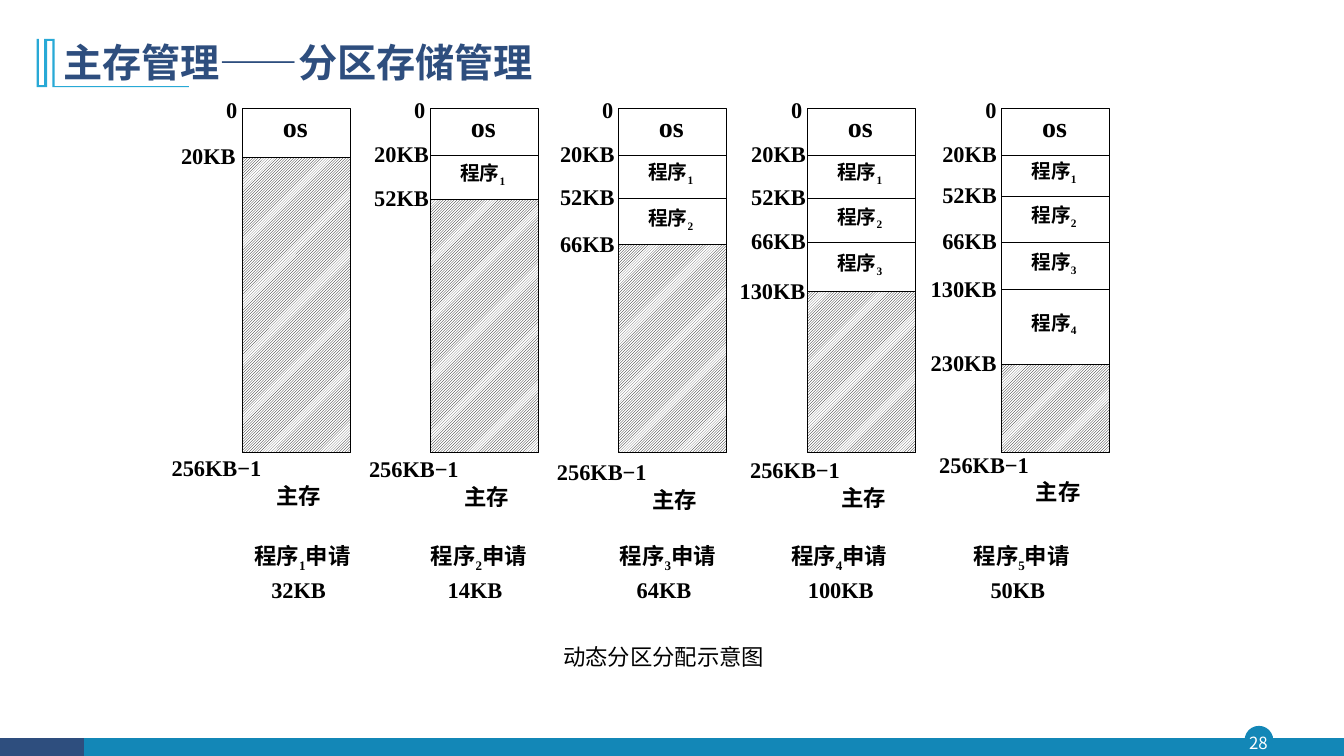
from dataclasses import dataclass

from lxml.etree import SubElement
from pptx import Presentation
from pptx.dml.color import RGBColor
from pptx.enum.dml import MSO_PATTERN
from pptx.enum.shapes import MSO_CONNECTOR, MSO_SHAPE
from pptx.enum.text import MSO_ANCHOR, PP_ALIGN
from pptx.oxml.ns import qn
from pptx.util import Pt

PX = 9525
SANS, SERIF = "Noto Sans CJK SC", "Times New Roman"
BLACK, WHITE, NAVY, BLUE, SKY = "000000", "FFFFFF", "2E4E7E", "1387B7", "28A9D6"
FRAME_TOP, FRAME_WIDTH, FRAME_BOTTOM = 103, 103, 431


def colour(code):
    """Turn a hex string into a colour."""
    return RGBColor.from_string(code)


@dataclass
class Memory:
    """One state of main memory and the request that follows it."""
    left: int
    size_left: int
    end_left: int
    end_top: int
    request_left: int
    request: str
    edges: list


class Page:
    """Style and drawing methods for one slide."""

    def __init__(self, deck):
        """Add a blank slide to the deck."""
        self.shapes = deck.slides.add_slide(deck.slide_layouts[6]).shapes

    def paint(self, shape, fill, line, width):
        """Give a shape its fill and outline; no fill colour means hatching."""
        shape.shadow.inherit = False
        if fill:
            shape.fill.solid()
            shape.fill.fore_color.rgb = colour(fill)
        else:
            shape.fill.patterned()
            shape.fill.pattern = MSO_PATTERN.LIGHT_UPWARD_DIAGONAL
            shape.fill.fore_color.rgb = colour(BLACK)
            shape.fill.back_color.rgb = colour(WHITE)
        if line:
            shape.line.color.rgb = colour(line)
            shape.line.width = Pt(width)
        else:
            shape.line.fill.background()

    def block(self, left, top, width, height, fill, line=None, weight=0.75,
              kind=MSO_SHAPE.RECTANGLE):
        """Draw a preset shape."""
        shape = self.shapes.add_shape(kind, left * PX, top * PX, width * PX, height * PX)
        self.paint(shape, fill, line, weight)

    def outline(self, points, fill):
        """Draw a filled polygon."""
        builder = self.shapes.build_freeform(*points[0], scale=PX)
        builder.add_line_segments(points[1:], close=True)
        self.paint(builder.convert_to_shape(), fill, None, 0)

    def rule(self, left, right, y):
        """Draw a thin horizontal line."""
        line = self.shapes.add_connector(
            MSO_CONNECTOR.STRAIGHT, left * PX, y * PX, right * PX, y * PX)
        line.line.color.rgb = colour(BLACK)
        line.line.width = Pt(0.75)
        SubElement(line._element.spPr, qn("a:effectLst"))

    def box(self, left, top, width, height, anchor=MSO_ANCHOR.TOP, inset=True):
        """Add an empty text box and return its frame."""
        frame = self.shapes.add_textbox(
            left * PX, top * PX, width * PX, height * PX).text_frame
        frame.word_wrap = True
        frame.vertical_anchor = anchor
        if not inset:
            frame.margin_left = frame.margin_right = 0
            frame.margin_top = frame.margin_bottom = 0
        return frame

    def span(self, para, text, size=16, font=SERIF, ink=BLACK, bold=True, base=0):
        """Add one run to a paragraph."""
        span = para.add_run()
        span.text = text
        span.font.size = Pt(size)
        span.font.bold = bold
        span.font.color.rgb = colour(ink)
        span.font.name = font
        properties = span._r.get_or_add_rPr()
        SubElement(properties, qn("a:ea"), typeface=SANS)
        if base:
            properties.set("baseline", str(base * 1000))

    def text(self, left, top, width, height, text, align=PP_ALIGN.JUSTIFY,
             anchor=MSO_ANCHOR.TOP, inset=True, **style):
        """Add a one-run text box and return its paragraph."""
        para = self.box(left, top, width, height, anchor, inset).paragraphs[0]
        para.alignment = align
        self.span(para, text, **style)
        return para

    def label(self, left, top, text):
        """Add an address label sized by its length."""
        self.text(left, top, 14 * len(text) + 22, 31, text)

    def program(self, para, number, size):
        """Add a program name with its subscript number."""
        self.span(para, "程序", size)
        self.span(para, str(number), size, base=-25)

    def memory(self, number, state):
        """Draw one memory column, its labels and its request."""
        left, edges = state.left, state.edges
        right = left + FRAME_WIDTH
        self.block(left, FRAME_TOP, FRAME_WIDTH, FRAME_BOTTOM - FRAME_TOP, WHITE, BLACK)
        self.block(left, edges[-1], FRAME_WIDTH, FRAME_BOTTOM - edges[-1], None, BLACK)
        self.label(left - 25, 87, "0")
        for edge, size in zip(edges, ("20KB", "52KB", "66KB", "130KB", "230KB")):
            self.rule(left, right, edge)
            self.label(state.size_left - 11 * (len(size) - 4), edge - 19, size)
        self.text(left + 29, 100, 60, 39, "os", size=20)
        for index, (upper, lower) in enumerate(zip(edges, edges[1:]), 1):
            frame = self.box(left + 19, (upper + lower) // 2 - 20, 75, 39)
            self.program(frame.paragraphs[0], index, 14)
        self.label(state.end_left, state.end_top, "256KB−1")
        self.text(left + 23, state.end_top + 26, 73, 31, "主存")

        frame = self.box(state.request_left, 512, 127, 63)
        self.program(frame.paragraphs[0], number, 16)
        self.span(frame.paragraphs[0], "申请")
        para = frame.add_paragraph()
        para.space_before = Pt(2)
        para._p.get_or_add_pPr().set("marL", str(16 * PX))
        self.span(para, state.request)


def main():
    """Build the slide and save it."""
    deck = Presentation()
    deck.slide_width, deck.slide_height = 1280 * PX, 720 * PX
    page = Page(deck)

    page.block(1186, 692, 26, 26, BLUE, BLUE, 1, MSO_SHAPE.OVAL)
    page.block(1, 703, 1279, 17, BLUE)
    page.block(0, 703, 80, 17, NAVY)
    page.text(1183, 692, 31, 30, "28", PP_ALIGN.CENTER, MSO_ANCHOR.MIDDLE, False,
              size=12, font=SANS, ink=WHITE, bold=False)
    page.outline([(52, 37), (52, 82), (180, 82), (180, 83), (50, 83), (50, 39),
                  (45, 39), (45, 83), (35, 83), (35, 37), (37, 37), (37, 81),
                  (42, 81), (42, 37)], SKY)
    title = page.text(51, 33, 1007, 54, "主存管理——分区存储管理", PP_ALIGN.LEFT,
                      MSO_ANCHOR.BOTTOM, size=28, font=SANS, ink=NAVY)
    title.line_spacing = 0.9

    states = [
        Memory(231, 163, 154, 428, 233, "32KB", [150]),
        Memory(410, 347, 342, 429, 401, "14KB", [148, 190]),
        Memory(589, 524, 521, 432, 581, "64KB", [148, 189, 233]),
        Memory(769, 706, 705, 430, 744, "100KB", [148, 189, 231, 278]),
        Memory(954, 888, 885, 425, 918, "50KB", [148, 187, 231, 276, 347]),
    ]
    for number, state in enumerate(states, 1):
        page.memory(number, state)
    page.text(527, 608, 257, 36, "动态分区分配示意图", PP_ALIGN.LEFT, bold=False)

    deck.save("out.pptx")


if __name__ == "__main__":
    main()
